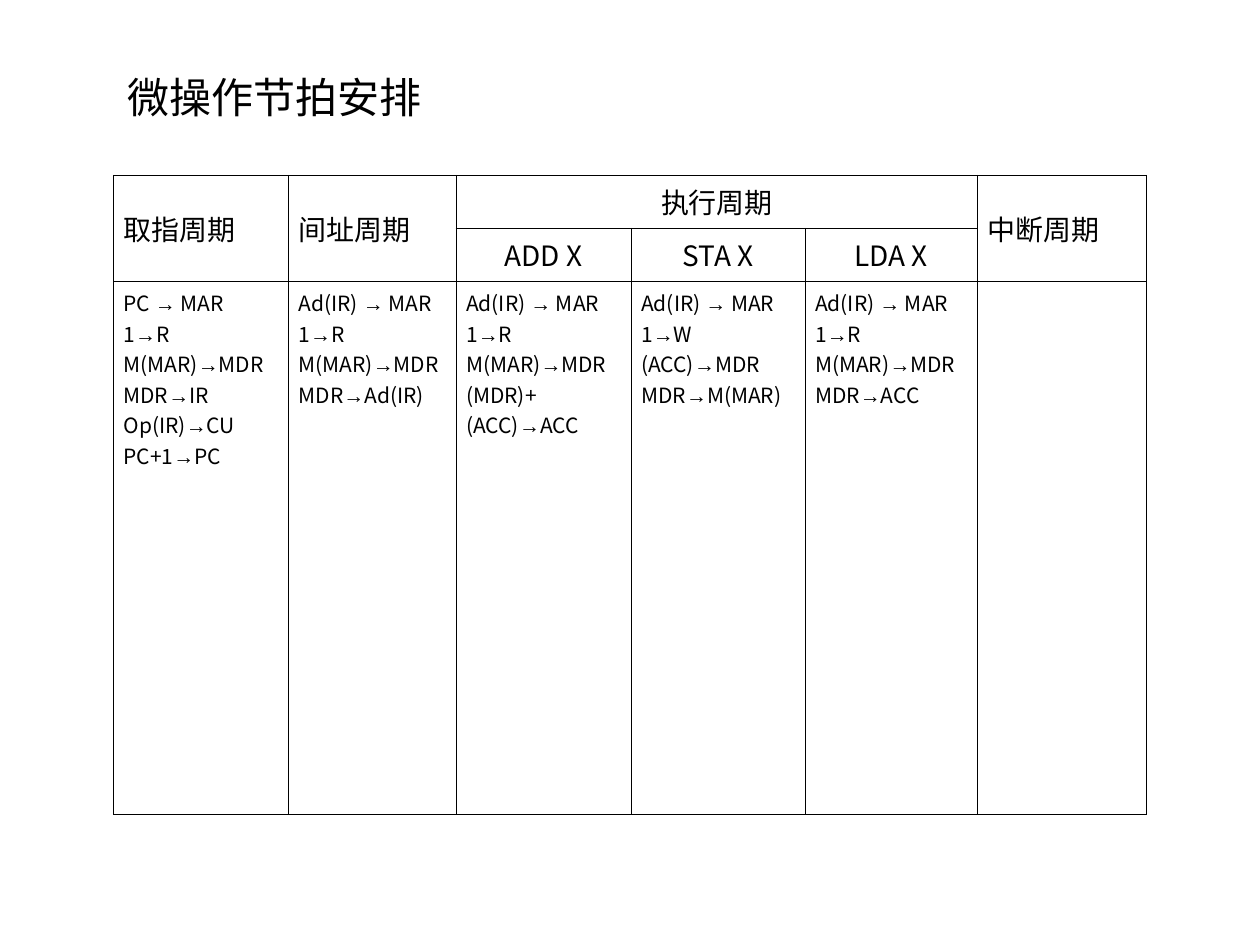
from pptx import Presentation
from pptx.dml.color import RGBColor
from pptx.enum import text
from pptx.oxml import parse_xml
from pptx.oxml.ns import nsdecls, qn
from pptx.util import Inches, Pt

INK = "000000"
BODY_FONT, ARROW_FONT = "Noto Sans CJK SC", "Arial"
COLUMN_WIDTHS = (1.39, 1.33, 1.39, 1.38, 1.37, 1.34)
ROW_HEIGHTS = (0.34, 0.34, 4.23)
CYCLES = {0: "取指周期", 1: "间址周期", 5: "中断周期"}
INSTRUCTIONS = ("ADD X", "STA X", "LDA X")
MICRO_OPERATIONS = (
    ("PC → MAR", "1→R", "M(MAR)→MDR", "MDR→IR", "Op(IR)→CU", "PC+1→PC"),
    ("Ad(IR) → MAR", "1→R", "M(MAR)→MDR", "MDR→Ad(IR)"),
    ("Ad(IR) → MAR", "1→R", "M(MAR)→MDR", "(MDR)+(ACC)→ACC"),
    ("Ad(IR) → MAR", "1→W", "(ACC)→MDR", "MDR→M(MAR)"),
    ("Ad(IR) → MAR", "1→R", "M(MAR)→MDR", "MDR→ACC"),
)


def color(value):
    return RGBColor.from_string(value)


def add_run(paragraph, content, size, font, ink):
    run = paragraph.add_run()
    run.text = content
    run.font.size = Pt(size)
    run.font.name = font
    run.font.color.rgb = color(ink)
    run.font._element.append(
        parse_xml(f'<a:ea {nsdecls("a")} typeface="{font}"/>'))


def write(frame, lines, size=16, align=text.PP_ALIGN.JUSTIFY, ink=INK):
    frame.word_wrap = True
    for index, line in enumerate(lines):
        paragraph = frame.add_paragraph() if index else frame.paragraphs[0]
        paragraph.alignment = align
        before, arrow, after = line.partition("→")
        for content, font in ((before, BODY_FONT), (arrow, ARROW_FONT), (after, BODY_FONT)):
            if content:
                add_run(paragraph, content, size, font, ink)


def style_cell(cell, anchor):
    cell.margin_left = cell.margin_right = Inches(0.08)
    cell.margin_top = cell.margin_bottom = Inches(0.05)
    cell.vertical_anchor = anchor
    cell.fill.background()
    properties = cell._tc.get_or_add_tcPr()
    for index, side in enumerate(("lnL", "lnR", "lnT", "lnB")):
        properties.insert(index, parse_xml(
            f'<a:{side} {nsdecls("a")} w="{Pt(0.45)}"><a:solidFill>'
            f'<a:srgbClr val="{INK}"/></a:solidFill></a:{side}>'))


def add_title(slide, left, top, width, height):
    title = slide.shapes.add_textbox(left, top, width, height)
    write(title.text_frame, ["微操作节拍安排"], size=24, align=text.PP_ALIGN.LEFT)


def add_schedule(slide, left, top, width, height):
    schedule = slide.shapes.add_table(
        len(ROW_HEIGHTS), len(COLUMN_WIDTHS), left, top, width, height).table
    schedule.first_row = schedule.horz_banding = False
    for column, size in zip(schedule.columns, COLUMN_WIDTHS):
        column.width = int(width * size / sum(COLUMN_WIDTHS))
    for row, size in zip(schedule.rows, ROW_HEIGHTS):
        row.height = int(height * size / sum(ROW_HEIGHTS))
    for row in range(len(ROW_HEIGHTS)):
        anchor = text.MSO_ANCHOR.MIDDLE if row < 2 else text.MSO_ANCHOR.TOP
        for column in range(len(COLUMN_WIDTHS)):
            style_cell(schedule.cell(row, column), anchor)

    for column, cycle in CYCLES.items():
        header = schedule.cell(0, column)
        header.merge(schedule.cell(1, column))
        write(header.text_frame, [cycle])
    execution = schedule.cell(0, 2)
    execution.merge(schedule.cell(0, 4))
    write(execution.text_frame, ["执行周期"], align=text.PP_ALIGN.CENTER)
    for column, instruction in enumerate(INSTRUCTIONS, start=2):
        write(schedule.cell(1, column).text_frame, [instruction],
              align=text.PP_ALIGN.CENTER)
    for column, operations in enumerate(MICRO_OPERATIONS):
        write(schedule.cell(2, column).text_frame, operations, size=12)


def main():
    deck = Presentation()
    deck.slide_width, deck.slide_height = Inches(10), Inches(7.5)
    slide = deck.slides.add_slide(deck.slide_layouts[6])
    add_schedule(slide, Inches(0.9), Inches(1.39),
                 Inches(sum(COLUMN_WIDTHS)), Inches(sum(ROW_HEIGHTS)))
    add_title(slide, Inches(0.91), Inches(0.52), Inches(5.58), Inches(0.5))
    deck.save("out.pptx")


if __name__ == "__main__":
    main()
